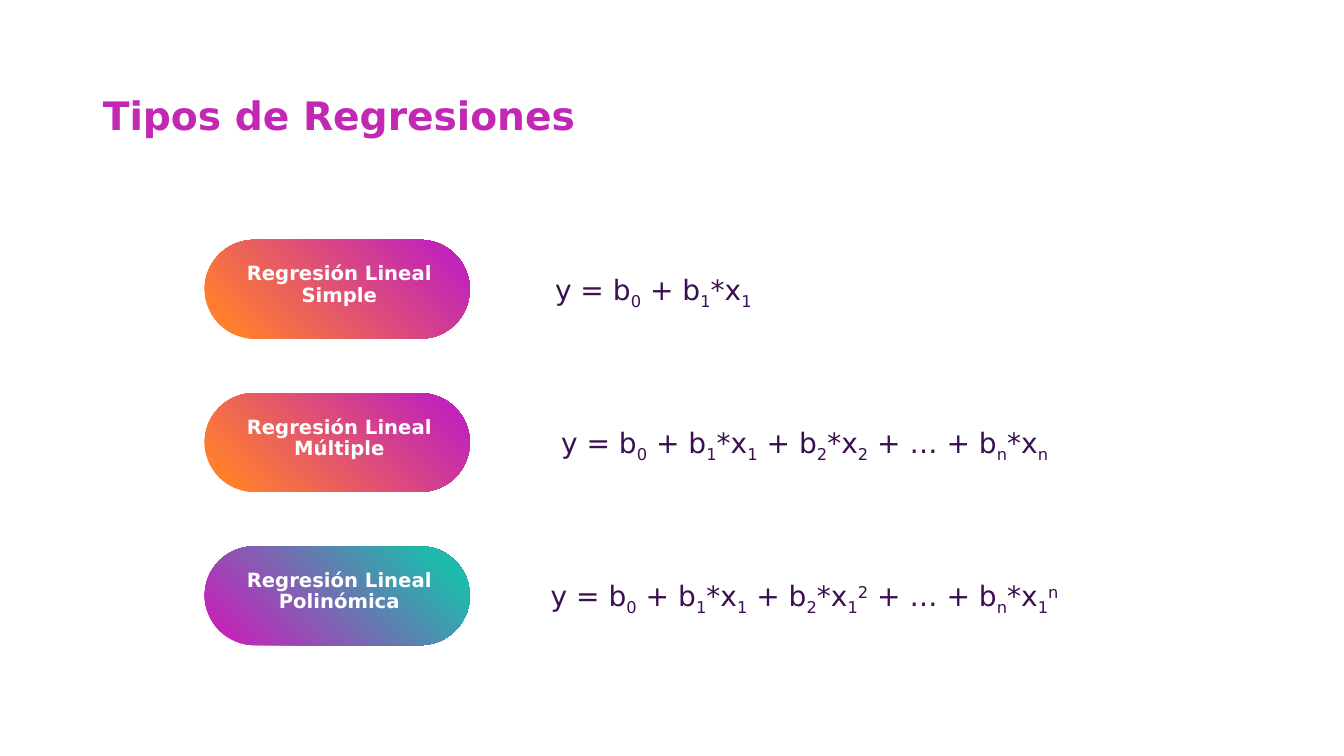
from pptx import Presentation
from pptx.dml.color import RGBColor
from pptx.enum.shapes import MSO_SHAPE
from pptx.enum.text import MSO_ANCHOR, MSO_AUTO_SIZE, PP_ALIGN
from pptx.util import Pt

PILL = MSO_SHAPE.ROUNDED_RECTANGLE
MIDDLE, TOP = MSO_ANCHOR.MIDDLE, MSO_ANCHOR.TOP
GROW, FIXED = MSO_AUTO_SIZE.SHAPE_TO_FIT_TEXT, MSO_AUTO_SIZE.NONE
LEFT, CENTER = PP_ALIGN.LEFT, PP_ALIGN.CENTER

PX = 9144  # EMU in one px, 100 px to the inch
FONT = "DejaVu Sans"
COLORS = {
    "title": "C228B4",
    "label": "FFFFFF",
    "equation": "3C0F53",
    "orange": "FF7F2E",
    "magenta": "C125B7",
    "violet": "C126B8",
    "teal": "1EBBAC",
}

# Text formats
TITLE_FONT = {"name": FONT, "size": Pt(28), "bold": True}
LABEL_FONT = {"name": FONT, "size": Pt(14), "bold": True}
EQUATION_FONT = {"name": FONT, "size": Pt(20), "bold": False}
TITLE_PARAGRAPH = {"alignment": LEFT, "line_spacing": 0.9}
LABEL_PARAGRAPH = {"alignment": CENTER, "line_spacing": 0.9, "space_before": Pt(7.5)}
EQUATION_PARAGRAPH = {"alignment": CENTER}
TITLE_FRAME = {"vertical_anchor": MIDDLE, "word_wrap": True, "auto_size": FIXED}
LABEL_FRAME = {"vertical_anchor": TOP, "word_wrap": True, "auto_size": FIXED}
EQUATION_FRAME = {
    "vertical_anchor": TOP, "word_wrap": True, "auto_size": GROW,
    "margin_left": 5 * PX, "margin_right": 5 * PX,
    "margin_top": 5 * PX, "margin_bottom": 5 * PX,
}

# In an equation, "_" lowers and "^" raises the next character
BASELINES = {"_": "-25000", "^": "30000"}
WARM = (("orange", 0.10), ("magenta", 0.89))
COOL = (("violet", 0.09), ("teal", 0.88))
REGRESSIONS = [
    ("Regresión Lineal Simple", WARM, "y = b_0 + b_1*x_1", (519, 258)),
    ("Regresión Lineal Múltiple", WARM,
     "y = b_0 + b_1*x_1 + b_2*x_2 + … + b_n*x_n", (494, 608)),
    ("Regresión Lineal Polinómica", COOL,
     "y = b_0 + b_1*x_1 + b_2*x_1^2 + … + b_n*x_1^n", (494, 608)),
]
FIRST_ROW, ROW_PITCH = 238, 152


def emu(*lengths):
    return [length * PX for length in lengths]


def apply(target, values):
    for attribute, value in values.items():
        setattr(target, attribute, value)


def add_run(paragraph, text, font, color, baseline=None):
    run = paragraph.add_run()
    run.text = text
    apply(run.font, font)
    run.font.color.rgb = RGBColor.from_string(COLORS[color])
    if baseline:
        run._r.get_or_add_rPr().set("baseline", baseline)


def split_equation(equation):
    """Yield pieces of text, each with its baseline shift."""
    plain, marker = "", None
    for char in equation:
        if marker:
            yield char, BASELINES[marker]
            marker = None
        elif char in BASELINES:
            if plain:
                yield plain, None
            plain, marker = "", char
        else:
            plain += char
    if plain:
        yield plain, None


def add_title(slide, text):
    title = slide.shapes.title
    title.left, title.top, title.width, title.height = emu(92, 71, 1150, 91)
    apply(title.text_frame, TITLE_FRAME)
    paragraph = title.text_frame.paragraphs[0]
    apply(paragraph, TITLE_PARAGRAPH)
    add_run(paragraph, text, TITLE_FONT, "title")


def add_pill(slide, top, gradient):
    pill = slide.shapes.add_shape(PILL, *emu(203, top, 263, 98))
    pill.adjustments[0] = 0.5
    pill.shadow.inherit = False
    pill.line.fill.background()
    pill.fill.gradient()
    pill.fill.gradient_angle = 45
    for stop, (color, position) in zip(pill.fill.gradient_stops, gradient):
        stop.color.rgb = RGBColor.from_string(COLORS[color])
        stop.position = position


def add_label(slide, top, text):
    label = slide.shapes.add_textbox(*emu(219, top, 235, 44))
    apply(label.text_frame, LABEL_FRAME)
    paragraph = label.text_frame.paragraphs[0]
    apply(paragraph, LABEL_PARAGRAPH)
    add_run(paragraph, text, LABEL_FONT, "label")


def add_equation(slide, left, top, width, equation):
    formula = slide.shapes.add_textbox(*emu(left, top, width, 44))
    apply(formula.text_frame, EQUATION_FRAME)
    paragraph = formula.text_frame.paragraphs[0]
    apply(paragraph, EQUATION_PARAGRAPH)
    for text, baseline in split_equation(equation):
        add_run(paragraph, text, EQUATION_FONT, "equation", baseline)


def main():
    deck = Presentation()
    deck.slide_width, deck.slide_height = emu(1333, 750)
    slide = deck.slides.add_slide(deck.slide_layouts[5])

    add_title(slide, "Tipos de Regresiones")

    # One row for each kind of regression
    for row, (name, gradient, equation, (left, width)) in enumerate(REGRESSIONS):
        top = FIRST_ROW + row * ROW_PITCH
        add_pill(slide, top, gradient)
        add_label(slide, top + 19, name)
        add_equation(slide, left, top + 27, width, equation)

    deck.save("out.pptx")


if __name__ == "__main__":
    main()
